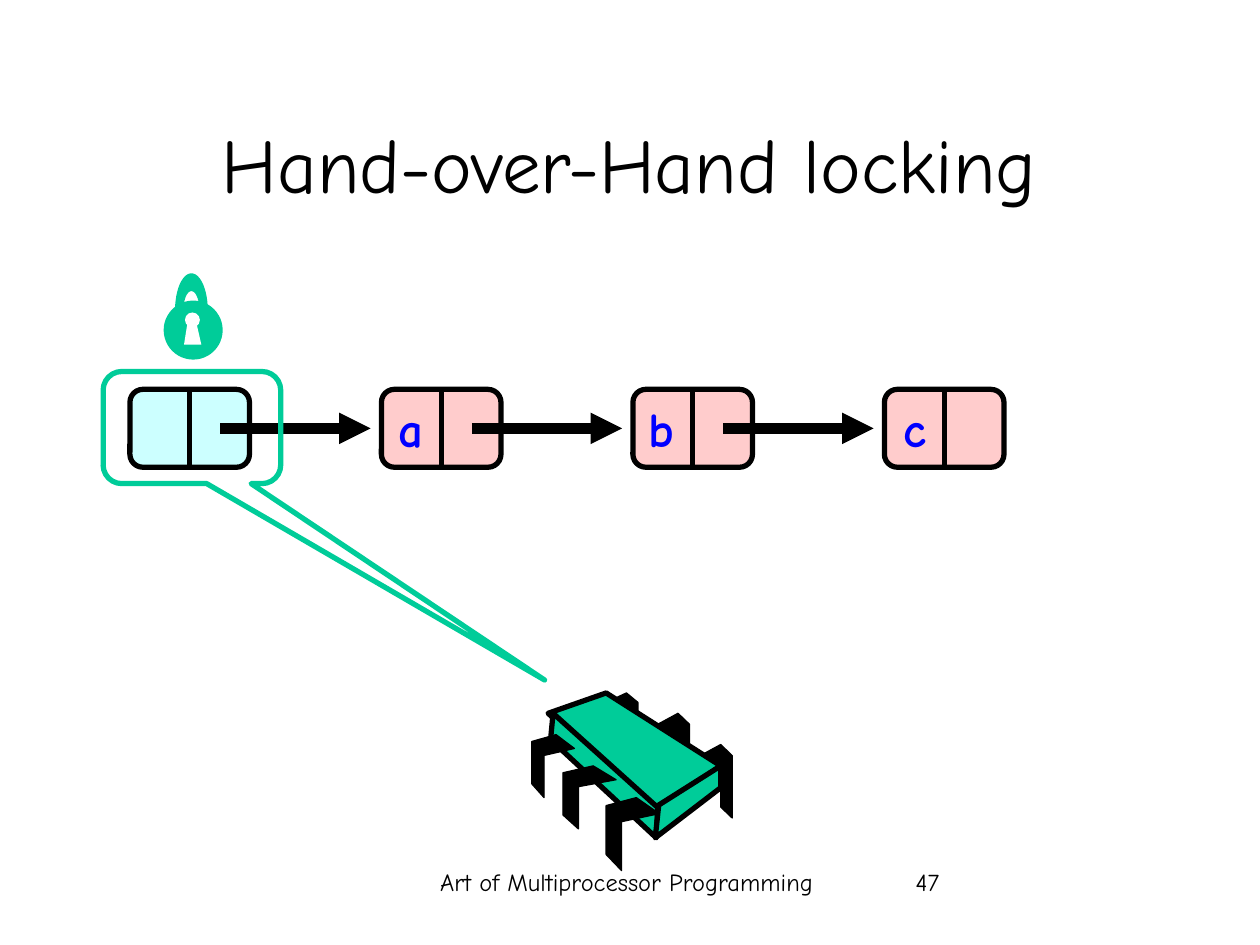
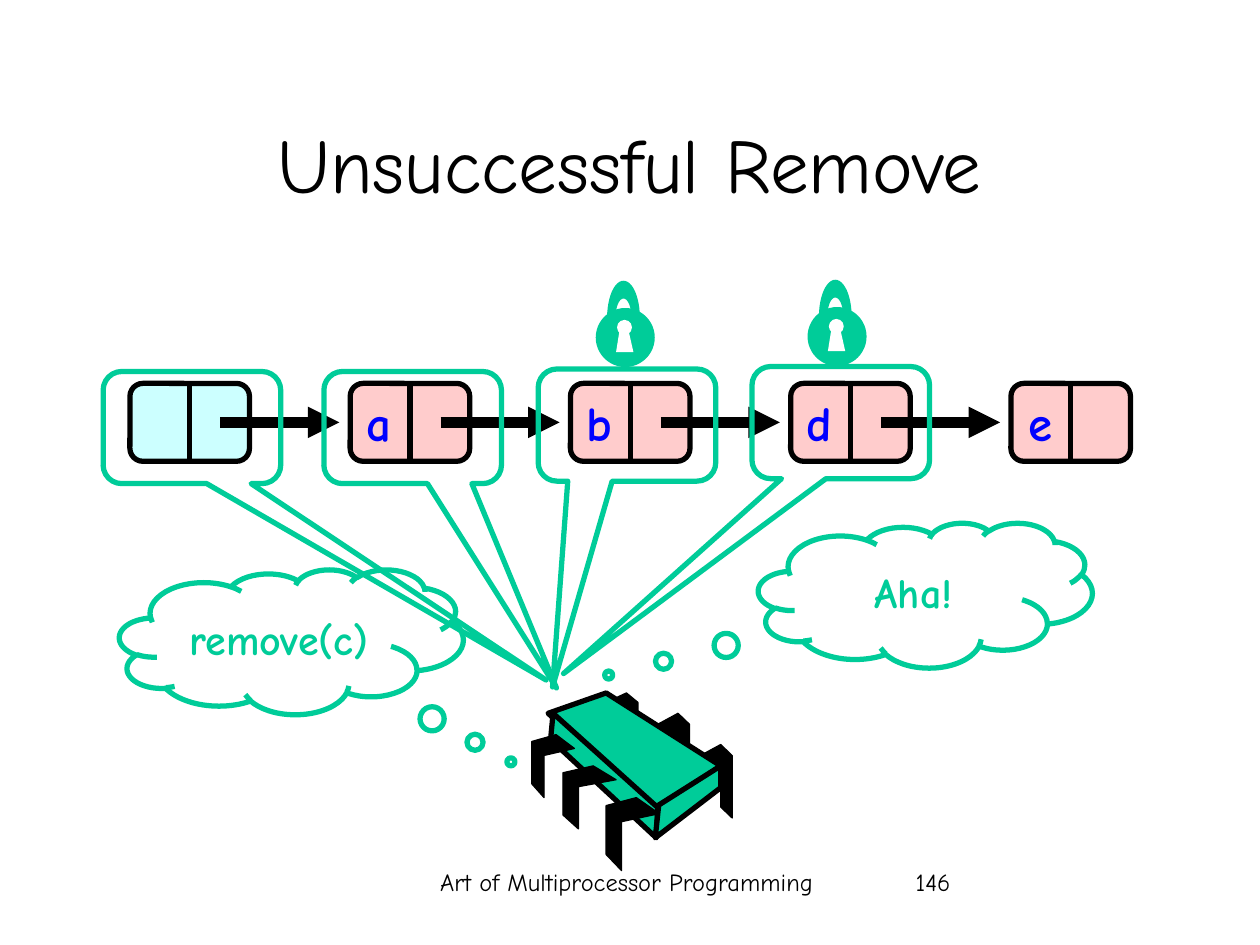
import math
from dataclasses import dataclass

from lxml import etree
from pptx import Presentation
from pptx import util as u
from pptx.dml.color import RGBColor
from pptx.enum import shapes, text
from pptx.oxml import ns


@dataclass(frozen=True)
class Theme:
    font: str = "Comic Neue"
    black: str = "000000"
    white: str = "FFFFFF"
    green: str = "00CC99"
    sentinel: str = "CCFFFF"
    node: str = "FFCCCC"
    label: str = "0000FF"
    title_size: int = 44
    label_size: int = 28
    cloud_size: int = 24
    footer_size: int = 14
    outline: float = 3
    arrow: float = 6
    leg_outline: float = 0.75


NODE_WIDTH, NODE_HEIGHT = 2.41, 1.57
CALLOUT_WIDTH, CALLOUT_HEIGHT = 3.58, 2.26

BACK_LEG = [(0, 0.15), (0.64, 0), (1, 0.15), (1, 1), (0.64, 0.85), (0.64, 0.29), (0, 0.43)]
FRONT_LEG = [(0.57, 0), (1, 0.22), (0.29, 0.33), (0.29, 1), (0, 0.78), (0, 0.11)]
BACK_LEG_BOXES = [
    (14.12, 15.01, 0.64, 1.48),
    (13.26, 14.38, 0.64, 1.48),
    (12.22, 13.97, 0.64, 1.27),
]
FRONT_LEG_BOXES = [
    (12.22, 16.08, 1.07, 1.47),
    (11.35, 15.44, 1.07, 1.27),
    (10.72, 14.81, 0.86, 1.27),
]
CHIP_FACES = [
    [(12.22, 13.97), (14.53, 15.44), (13.23, 16.33), (11.05, 14.38)],
    [(11.15, 14.38), (13.26, 16.28), (13.23, 16.89), (11.1, 14.91)],
    [(14.53, 15.44), (14.53, 15.88), (13.21, 16.89), (13.28, 16.23)],
]


class Deck:
    def __init__(self, theme):
        self.theme = theme
        self.presentation = Presentation()
        self.presentation.slide_width = u.Cm(25.4)
        self.presentation.slide_height = u.Cm(19.05)
        self.slide = None

    def start_slide(self, title, number):
        self.slide = self.presentation.slides.add_slide(self.presentation.slide_layouts[6])
        theme, align = self.theme, text.PP_ALIGN
        self.text_box("Art of Multiprocessor Programming", (7.87, 17.35, 9.53, 1.27),
                      theme.footer_size, align.CENTER)
        self.text_box(str(number), (18.21, 17.35, 5.28, 1.27), theme.footer_size, align.LEFT)
        box = self.text_box(title, (1.9, 1.7, 21.59, 3.18), theme.title_size, align.CENTER)
        box.text_frame.vertical_anchor = text.MSO_ANCHOR.MIDDLE

    def set_text(self, shape, content, size, align, color, bold=False):
        shape.text_frame.word_wrap = True
        paragraph = shape.text_frame.paragraphs[0]
        paragraph.text = content
        paragraph.alignment = align
        paragraph.font.name = self.theme.font
        paragraph.font.size = u.Pt(size)
        paragraph.font.bold = bold
        paragraph.font.color.rgb = RGBColor.from_string(color)

    def text_box(self, content, box, size, align, color=None, bold=False):
        shape = self.slide.shapes.add_textbox(*map(u.Cm, box))
        self.set_text(shape, content, size, align, color or self.theme.black, bold)
        return shape

    def paint(self, shape, fill=None, line=None, width=None):
        shape.shadow.inherit = False
        if fill:
            shape.fill.solid()
            shape.fill.fore_color.rgb = RGBColor.from_string(fill)
        else:
            shape.fill.background()
        if line:
            shape.line.color.rgb = RGBColor.from_string(line)
            shape.line.width = u.Pt(width or self.theme.outline)
        else:
            shape.line.fill.background()
        return shape

    def preset(self, kind, box, fill=None, line=None):
        shape = self.slide.shapes.add_shape(kind, *map(u.Cm, box))
        return self.paint(shape, fill, line)

    def polygon(self, points, fill, line=None, width=None):
        corners = [(u.Cm(x), u.Cm(y)) for x, y in points]
        builder = self.slide.shapes.build_freeform(*corners[0])
        builder.add_line_segments(corners[1:], close=True)
        return self.paint(builder.convert_to_shape(), fill, line, width)

    def connector(self, start, end, width):
        connector = self.slide.shapes.add_connector(
            shapes.MSO_CONNECTOR.STRAIGHT, *map(u.Cm, (*start, *end)))
        connector.line.color.rgb = RGBColor.from_string(self.theme.black)
        connector.line.width = u.Pt(width)
        etree.SubElement(connector.element.spPr, ns.qn("a:effectLst"))
        return connector

    def arrow(self, start, end):
        connector = self.connector(start, end, self.theme.arrow)
        outline = connector.element.spPr.find(ns.qn("a:ln"))
        etree.SubElement(outline, ns.qn("a:tailEnd"), type="triangle")

    def node(self, left, top, name):
        theme = self.theme
        cell = self.preset(shapes.MSO_SHAPE.ROUNDED_RECTANGLE,
                           (left, top, NODE_WIDTH, NODE_HEIGHT),
                           theme.node if name else theme.sentinel, theme.black)
        middle = left + NODE_WIDTH / 2
        divider = self.connector((middle, top), (middle, top + NODE_HEIGHT), theme.outline)
        divider.begin_connect(cell, 0)
        divider.end_connect(cell, 2)
        if name:
            label = self.text_box(name, (left + 0.02, top + 0.06, 1.07, 1.45),
                                  theme.label_size, text.PP_ALIGN.RIGHT, theme.label, True)
            label.text_frame.word_wrap = False

    def linked_list(self, names, top, step):
        lefts = [2.62 + step * index for index in range(len(names))]
        for left, name in zip(lefts, names):
            self.node(left, top, name)
        middle = top + NODE_HEIGHT / 2
        for left, following in zip(lefts, lefts[1:]):
            self.arrow((left + 1.82, middle), (following - 0.22, middle))

    def pointing(self, kind, box, tip):
        shape = self.preset(kind, box, line=self.theme.green)
        left, top, width, height = box
        shape.adjustments[0] = (tip[0] - left) / width - 0.5
        shape.adjustments[1] = (tip[1] - top) / height - 0.5
        return shape

    def callout(self, left, top, tip):
        self.pointing(shapes.MSO_SHAPE.ROUNDED_RECTANGULAR_CALLOUT,
                      (left, top, CALLOUT_WIDTH, CALLOUT_HEIGHT), tip)

    def cloud(self, content, box, tip):
        shape = self.pointing(shapes.MSO_SHAPE.CLOUD_CALLOUT, box, tip)
        shape.text_frame.vertical_anchor = text.MSO_ANCHOR.MIDDLE
        self.set_text(shape, content, self.theme.cloud_size, text.PP_ALIGN.CENTER,
                      self.theme.green, True)

    def lock(self, left, top):
        theme, oval = self.theme, shapes.MSO_SHAPE.OVAL
        self.preset(oval, (left, top + 0.55, 1.19, 1.19), theme.green)
        self.preset(oval, (left + 0.43, top + 0.79, 0.3, 0.3), theme.white)
        keyhole = [(0.41, 1.44), (0.48, 1), (0.66, 1), (0.76, 1.44)]
        self.polygon([(left + x, top + y) for x, y in keyhole], theme.white)

        def arch(radius_x, radius_y):
            angles = [math.pi * step / 24 for step in range(25)]
            return [(left + 0.56 - radius_x * math.cos(angle),
                     top + 0.74 - radius_y * math.sin(angle)) for angle in angles]

        self.polygon(arch(0.33, 0.74) + arch(0.16, 0.38)[::-1], theme.green)

    def legs(self, outline, boxes):
        theme = self.theme
        for left, top, width, height in boxes:
            points = [(left + x * width, top + y * height) for x, y in outline]
            self.polygon(points, theme.black, theme.black, theme.leg_outline)

    def chip(self):
        self.legs(BACK_LEG, BACK_LEG_BOXES)
        for face in CHIP_FACES:
            self.polygon(face, self.theme.green, self.theme.black)
        self.legs(FRONT_LEG, FRONT_LEG_BOXES)


def main():
    deck = Deck(Theme())

    deck.start_slide("Hand-over-Hand locking", 47)
    deck.linked_list(["", "a", "b", "c"], 7.85, 5.07)
    deck.chip()
    deck.callout(2.08, 7.49, (10.98, 13.71))
    deck.lock(3.3, 5.51)

    deck.start_slide("Unsuccessful Remove", 146)
    deck.linked_list(["", "a", "b", "d", "e"], 7.73, 4.44)
    deck.chip()
    deck.callout(2.08, 7.49, (11.01, 13.71))
    deck.callout(6.53, 7.49, (11.22, 13.87))
    deck.callout(10.85, 7.44, (11.14, 13.85))
    deck.callout(15.16, 7.39, (11.36, 13.58))
    deck.lock(12.01, 5.66)
    deck.lock(16.28, 5.64)
    deck.cloud("remove(c)", (2.41, 11.48, 6.93, 2.92), (10.3, 15.36))
    deck.cloud("Aha!", (15.29, 10.54, 6.73, 2.92), (12.27, 13.61))

    deck.presentation.save("out.pptx")


if __name__ == "__main__":
    main()
